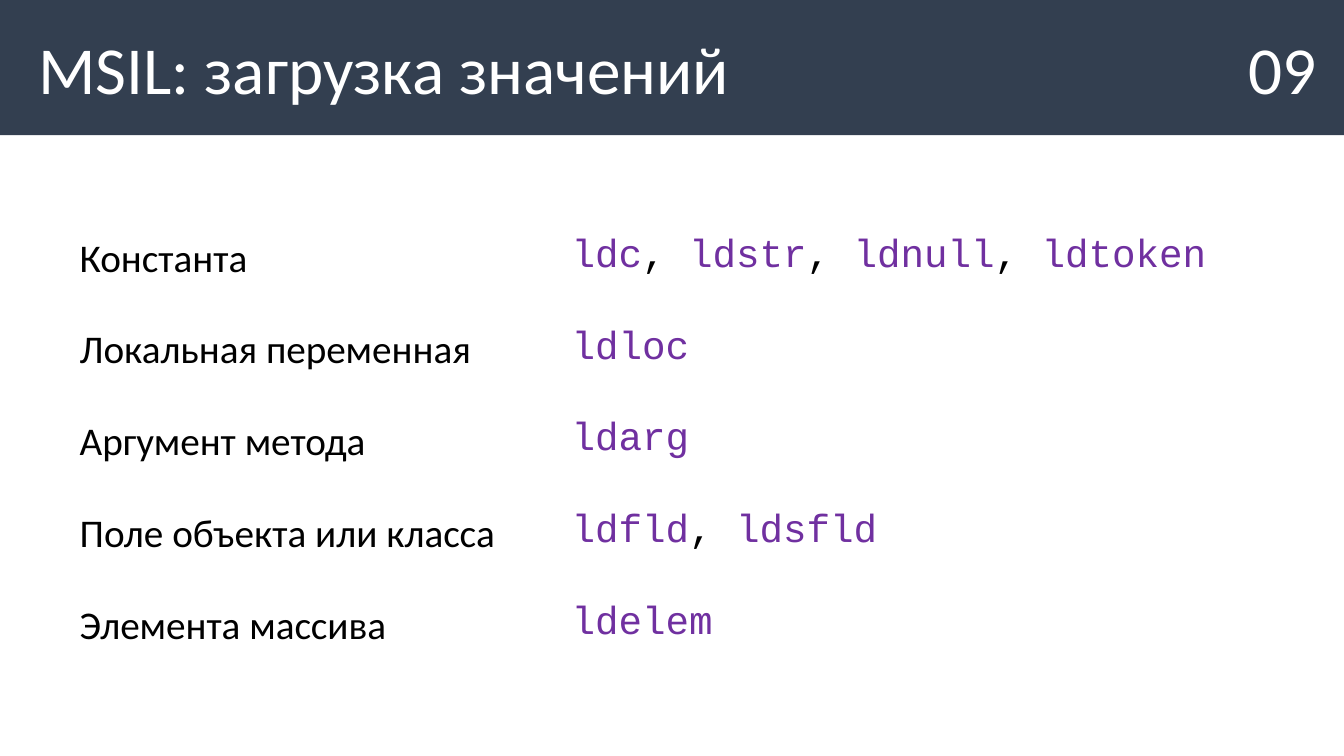
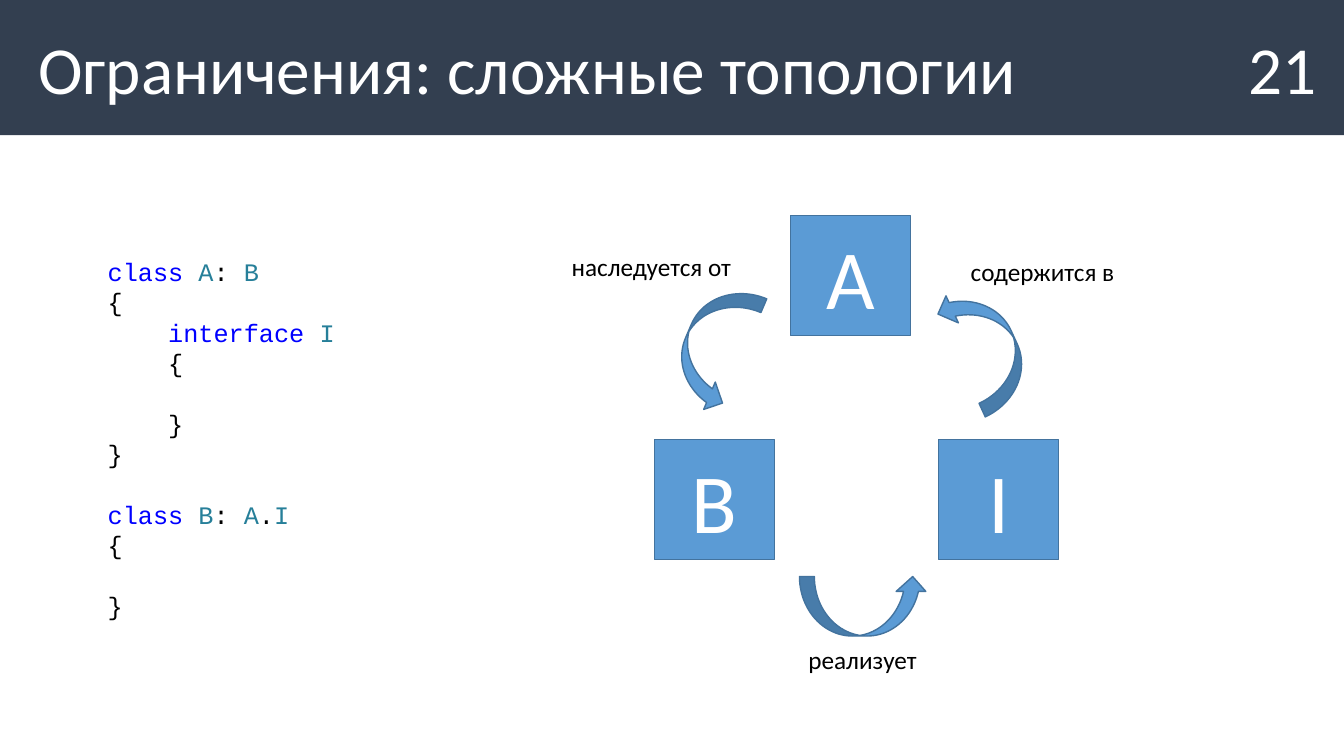
from dataclasses import dataclass

from pptx import Presentation
from pptx.dml.color import RGBColor
from pptx.enum.shapes import MSO_SHAPE
from pptx.enum.text import MSO_ANCHOR, PP_ALIGN
from pptx.util import Inches, Pt

RECTANGLE = MSO_SHAPE.RECTANGLE
CURVED_ARROW = MSO_SHAPE.CURVED_RIGHT_ARROW
MIDDLE = MSO_ANCHOR.MIDDLE
LEFT, CENTER = PP_ALIGN.LEFT, PP_ALIGN.CENTER


@dataclass(frozen=True)
class Theme:
    band: str = "333F50"
    white: str = "FFFFFF"
    black: str = "000000"
    opcode: str = "7030A0"
    keyword: str = "0000FF"
    type_name: str = "267F99"
    node: str = "5B9BD5"
    outline: str = "43739E"
    body_font: str = "Calibri"
    code_font: str = "Courier New"
    title_size: int = 48
    node_size: int = 60
    table_size: int = 28
    small_size: int = 18
    code_pitch: float = 21.7
    code_indent: float = 0.6


THEME = Theme()
TITLE = {"name": THEME.body_font, "size": THEME.title_size, "color": THEME.white}
NODE = {"name": THEME.body_font, "size": THEME.node_size, "color": THEME.white}
TERM = {"name": THEME.body_font, "size": THEME.table_size, "color": THEME.black}
LABEL = {"name": THEME.body_font, "size": THEME.small_size, "color": THEME.black}
COMMA = {"name": THEME.code_font, "size": THEME.table_size, "color": THEME.black}
OPCODE = {**COMMA, "color": THEME.opcode}
PLAIN = {"name": THEME.code_font, "size": THEME.small_size, "color": THEME.black}
KEYWORD = {**PLAIN, "color": THEME.keyword}
TYPE = {**PLAIN, "color": THEME.type_name}

LOADS = [
    ("Константа", ["ldc", "ldstr", "ldnull", "ldtoken"]),
    ("Локальная переменная", ["ldloc"]),
    ("Аргумент метода", ["ldarg"]),
    ("Поле объекта или класса", ["ldfld", "ldsfld"]),
    ("Элемента массива", ["ldelem"]),
]

# Each line: indent level, empty lines above it, styled spans
CODE = [
    (0, 0, [("class ", KEYWORD), ("A", TYPE), (": ", PLAIN), ("B", TYPE)]),
    (0, 0, [("{", PLAIN)]),
    (1, 0, [("interface ", KEYWORD), ("I", TYPE)]),
    (1, 0, [("{", PLAIN)]),
    (1, 1, [("}", PLAIN)]),
    (0, 0, [("}", PLAIN)]),
    (0, 1, [("class ", KEYWORD), ("B", TYPE), (": ", PLAIN), ("A", TYPE),
            (".", PLAIN), ("I", TYPE)]),
    (0, 0, [("{", PLAIN)]),
    (0, 1, [("}", PLAIN)]),
]

NODES = [("A", 7.84, 2.14), ("B", 6.49, 4.36), ("I", 9.31, 4.36)]
NODE_SIDE = 1.19
ARROWS = [(6.79, 2.8, 23), (8.27, 5.38, 270), (9.48, 2.8, 155.3)]
ARROW_SIZE = (0.59, 1.27)
LABELS = [
    ("наследуется от", 5.56, 2.44, 1.8),
    ("реализует", 7.91, 6.34, 1.29),
    ("содержится в", 9.52, 2.49, 1.64),
]


def add_span(para, text, style):
    span = para.add_run()
    span.text = text
    values = {"name": style["name"], "size": Pt(style["size"])}
    for attribute, value in values.items():
        setattr(span.font, attribute, value)
    span.font.color.rgb = RGBColor.from_string(style["color"])


def add_text(page, text, left, top, width, height, style, align=LEFT):
    box = page.shapes.add_textbox(*map(Inches, (left, top, width, height)))
    box.text_frame.word_wrap = align == LEFT
    para = box.text_frame.paragraphs[0]
    para.alignment = align
    add_span(para, text, style)


def add_block(page, kind, left, top, width, height, fill, outline=None):
    block = page.shapes.add_shape(kind, *map(Inches, (left, top, width, height)))
    block.shadow.inherit = False
    block.fill.solid()
    block.fill.fore_color.rgb = RGBColor.from_string(fill)
    if outline:
        block.line.color.rgb = RGBColor.from_string(outline)
        block.line.width = Pt(1)
    else:
        block.line.fill.background()
    return block


def add_page(deck, title, number):
    """Add a blank page with the header band, title and page number."""
    page = deck.slides.add_slide(deck.slide_layouts[6])
    add_block(page, RECTANGLE, 0, 0, 13.33, 1.34, THEME.band)
    add_text(page, title, 0.28, 0.22, 11.5, 0.91, TITLE)
    add_text(page, number, 12.28, 0.22, 0.89, 0.91, TITLE, CENTER)
    return page


def add_load_table(page):
    frame = page.shapes.add_table(
        len(LOADS), 2, *map(Inches, (0.69, 2.28, 11.94, 4.41)))
    table = frame.table
    table.first_row = table.horz_banding = False
    for column, width in zip(table.columns, (4.88, 7.06)):
        column.width = Inches(width)
    for row, height in zip(table.rows, [0.91] * 4 + [0.77]):
        row.height = Inches(height)
    for row, (term, opcodes) in zip(table.rows, LOADS):
        for cell in row.cells:
            cell.fill.background()
        term_para, code_para = (c.text_frame.paragraphs[0] for c in row.cells)
        add_span(term_para, term, TERM)
        for index, opcode in enumerate(opcodes):
            if index:
                add_span(code_para, ", ", COMMA)
            add_span(code_para, opcode, OPCODE)


def add_code(page, left, top, width, height):
    box = page.shapes.add_textbox(*map(Inches, (left, top, width, height)))
    frame = box.text_frame
    frame.word_wrap = True
    for index, (level, gap, spans) in enumerate(CODE):
        para = frame.add_paragraph() if index else frame.paragraphs[0]
        para.line_spacing = Pt(THEME.code_pitch)
        para.space_before = Pt(gap * THEME.code_pitch)
        indent = Inches(level * THEME.code_indent)
        para._p.get_or_add_pPr().set("marL", str(indent))
        for text, style in spans:
            add_span(para, text, style)


def add_node(page, name, left, top):
    node = add_block(page, RECTANGLE, left, top, NODE_SIDE, NODE_SIDE,
                     THEME.node, THEME.outline)
    node.text_frame.vertical_anchor = MIDDLE
    para = node.text_frame.paragraphs[0]
    para.alignment = CENTER
    add_span(para, name, NODE)


def add_cycle(page):
    """Draw the three types and the relations that close the loop."""
    for name, left, top in NODES:
        add_node(page, name, left, top)
    for left, top, angle in ARROWS:
        arrow = add_block(page, CURVED_ARROW, left, top, *ARROW_SIZE,
                          THEME.node, THEME.outline)
        arrow.rotation = angle
    for text, left, top, width in LABELS:
        add_text(page, text, left, top, width, 0.4, LABEL, CENTER)


def main():
    deck = Presentation()
    deck.slide_width, deck.slide_height = Inches(13.33), Inches(7.5)
    add_load_table(add_page(deck, "MSIL: загрузка значений", "09"))
    page = add_page(deck, "Ограничения: сложные топологии", "21")
    add_code(page, 0.97, 2.49, 2.51, 3.74)
    add_cycle(page)
    deck.save("out.pptx")


if __name__ == "__main__":
    main()
